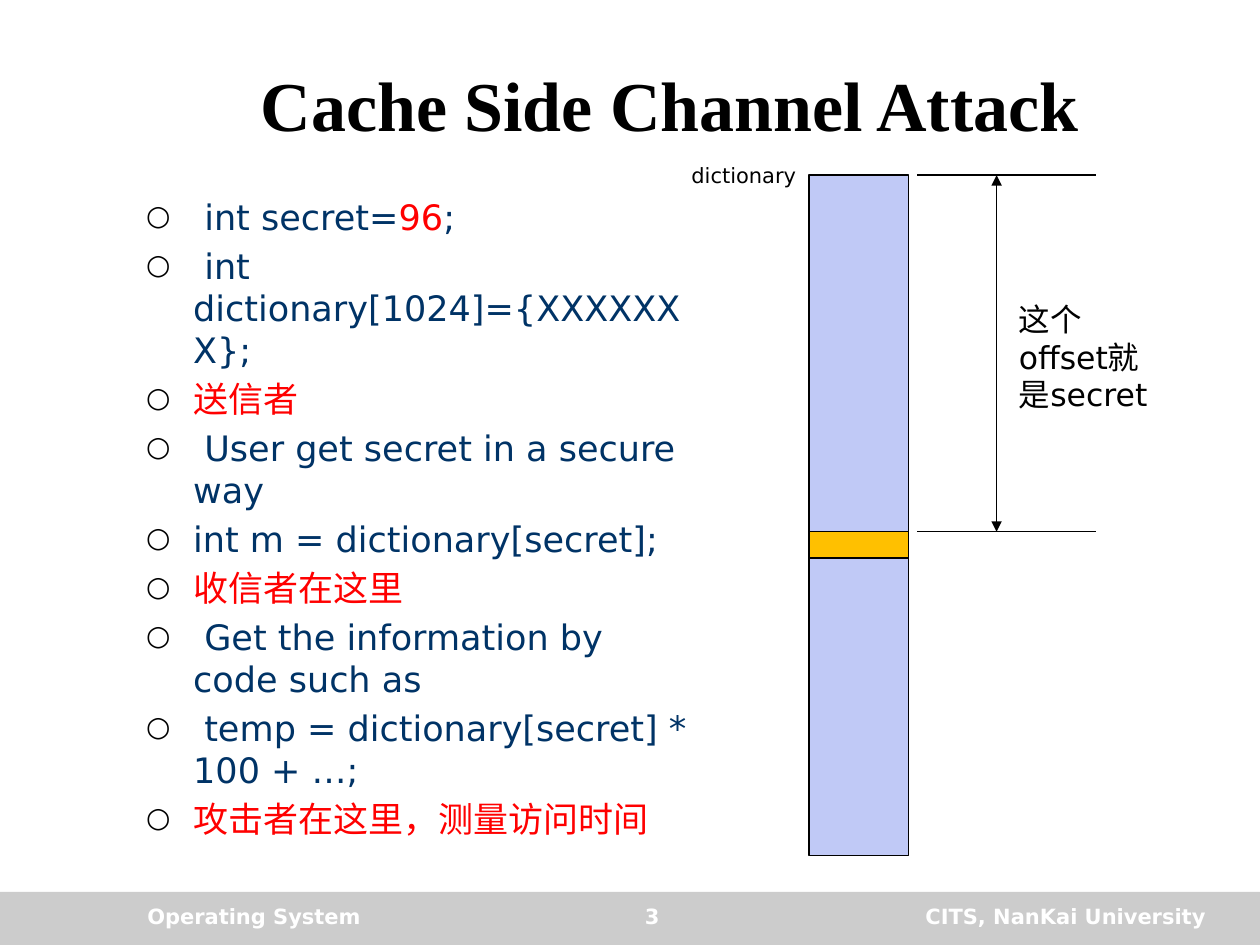
import pptx
import pptx.util
import pptx.dml.color
import pptx.enum.shapes
import pptx.enum.text
import pptx.oxml.ns
from dataclasses import dataclass
from lxml import etree

Cm, Pt = pptx.util.Cm, pptx.util.Pt
ALIGN = pptx.enum.text.PP_ALIGN
SHAPE = pptx.enum.shapes.MSO_SHAPE
qn = pptx.oxml.ns.qn


@dataclass(frozen=True)
class Theme:
    title_font: str = "Times New Roman"
    font: str = "DejaVu Sans"
    black: str = "000000"
    white: str = "FFFFFF"
    navy: str = "003366"
    red: str = "FF0000"
    band: str = "CCCCCC"
    memory: str = "C0C9F6"
    entry: str = "FFC000"
    title_size: int = 40
    body_size: int = 20
    note_size: int = 18
    small_size: int = 12
    line: float = 0.75


T = Theme()

TITLE = "Cache Side Channel Attack"
# Each bullet is a list of (text, colour) runs.
BULLETS = [
    [(" int secret=", T.navy), ("96", T.red), (";", T.navy)],
    [(" int dictionary[1024]={XXXXXXX};", T.navy)],
    [("送信者", T.red)],
    [(" User get secret in a secure way", T.navy)],
    [("int m = dictionary[secret];", T.navy)],
    [("收信者在这里", T.red)],
    [(" Get the information by code such as", T.navy)],
    [(" temp = dictionary[secret] * 100 + …;", T.navy)],
    [("攻击者在这里，测量访问时间", T.red)],
]
# Text, left, width, alignment
FOOTERS = [
    ("Operating System", 2.72, 6.98, ALIGN.LEFT),
    ("3", 10.19, 5.92, ALIGN.CENTER),
    ("CITS, NanKai University", 16.51, 8.05, ALIGN.RIGHT),
]

SLIDE_W, SLIDE_H = 25.4, 19.05
BAND_TOP = 17.98
BAR_LEFT, BAR_TOP, BAR_W, BAR_H = 16.31, 3.53, 2.01, 13.72
ENTRY_TOP, ENTRY_H = 10.72, 0.53
GUIDE_LEFT, GUIDE_RIGHT, ARROW_X = 18.49, 22.1, 20.09
HANG = 0.95


def rgb(value):
    return pptx.dml.color.RGBColor.from_string(value)


def style(font, size, color, name=T.font, bold=False):
    font.name, font.size, font.bold = name, Pt(size), bold
    font.color.rgb = rgb(color)


def place(s, left, top, width, height):
    s.left, s.top, s.width, s.height = Cm(left), Cm(top), Cm(width), Cm(height)


def add_rect(slide, box, fill, outlined=True):
    s = slide.shapes.add_shape(SHAPE.RECTANGLE, *map(Cm, box))
    s.shadow.inherit = False
    s.fill.solid()
    s.fill.fore_color.rgb = rgb(fill)
    if outlined:
        s.line.color.rgb = rgb(T.black)
        s.line.width = Pt(T.line)
    else:
        s.line.fill.background()


def add_text(slide, text, box, size, color=T.black, align=ALIGN.LEFT, bold=False):
    tf = slide.shapes.add_textbox(*map(Cm, box)).text_frame
    tf.word_wrap = True
    tf.text = text
    p = tf.paragraphs[0]
    p.alignment = align
    style(p.runs[0].font, size, color, bold=bold)


def add_line(slide, x1, y1, x2, y2, arrows=False):
    s = slide.shapes.add_connector(
        pptx.enum.shapes.MSO_CONNECTOR.STRAIGHT, *map(Cm, (x1, y1, x2, y2)))
    s.line.color.rgb = rgb(T.black)
    s.line.width = Pt(T.line)
    if arrows:
        ln = s.line._get_or_add_ln()
        for end in ("a:headEnd", "a:tailEnd"):
            etree.SubElement(ln, qn(end), type="triangle")
    etree.SubElement(s._element.spPr, qn("a:effectLst"))


def add_bullet(p):
    pPr = p._p.get_or_add_pPr()
    pPr.set("marL", str(Cm(HANG)))
    pPr.set("indent", str(-Cm(HANG)))
    color = etree.SubElement(pPr, qn("a:buClr"))
    etree.SubElement(color, qn("a:srgbClr"), val=T.black)
    etree.SubElement(pPr, qn("a:buSzPct"), val="80000")
    etree.SubElement(pPr, qn("a:buFont"), typeface=T.font)
    etree.SubElement(pPr, qn("a:buChar"), char="○")


def fill_title(s):
    place(s, 2.69, 0.84, 21.62, 2.49)
    tf = s.text_frame
    tf.text = TITLE
    tf.auto_size = pptx.enum.text.MSO_AUTO_SIZE.NONE
    tf.vertical_anchor = pptx.enum.text.MSO_ANCHOR.MIDDLE
    p = tf.paragraphs[0]
    p.alignment = ALIGN.CENTER
    style(p.runs[0].font, T.title_size, T.black, T.title_font, bold=True)


def fill_body(s):
    place(s, 2.69, 3.81, 11.61, 15.11)
    tf = s.text_frame
    tf.auto_size = pptx.enum.text.MSO_AUTO_SIZE.NONE
    for i, runs in enumerate(BULLETS):
        p = tf.add_paragraph() if i else tf.paragraphs[0]
        add_bullet(p)
        p.space_before = Pt(0.2 * T.body_size if i else 0)
        for text, color in runs:
            r = p.add_run()
            r.text = text
            style(r.font, T.body_size, color)


def draw_memory(slide):
    add_rect(slide, (BAR_LEFT, BAR_TOP, BAR_W, BAR_H), T.memory)
    add_rect(slide, (BAR_LEFT, ENTRY_TOP, BAR_W, ENTRY_H), T.entry)
    for y in (BAR_TOP, ENTRY_TOP):
        add_line(slide, GUIDE_LEFT, y, GUIDE_RIGHT, y)
    add_line(slide, ARROW_X, BAR_TOP, ARROW_X, ENTRY_TOP, arrows=True)
    add_text(slide, "这个offset就是secret", (20.29, 5.92, 3.4, 2.57), T.note_size)
    add_text(slide, "dictionary", (13.69, 3.15, 2.79, 0.76), T.small_size)


def main():
    prs = pptx.Presentation()
    prs.slide_width, prs.slide_height = Cm(SLIDE_W), Cm(SLIDE_H)
    slide = prs.slides.add_slide(prs.slide_layouts[1])
    fill_title(slide.shapes.title)
    fill_body(slide.placeholders[1])
    add_rect(slide, (0, BAND_TOP, SLIDE_W, SLIDE_H - BAND_TOP), T.band, outlined=False)
    for text, left, width, align in FOOTERS:
        add_text(slide, text, (left, BAND_TOP + 0.1, width, 0.84),
                 T.small_size, T.white, align, bold=True)
    draw_memory(slide)
    prs.save("out.pptx")


if __name__ == "__main__":
    main()
